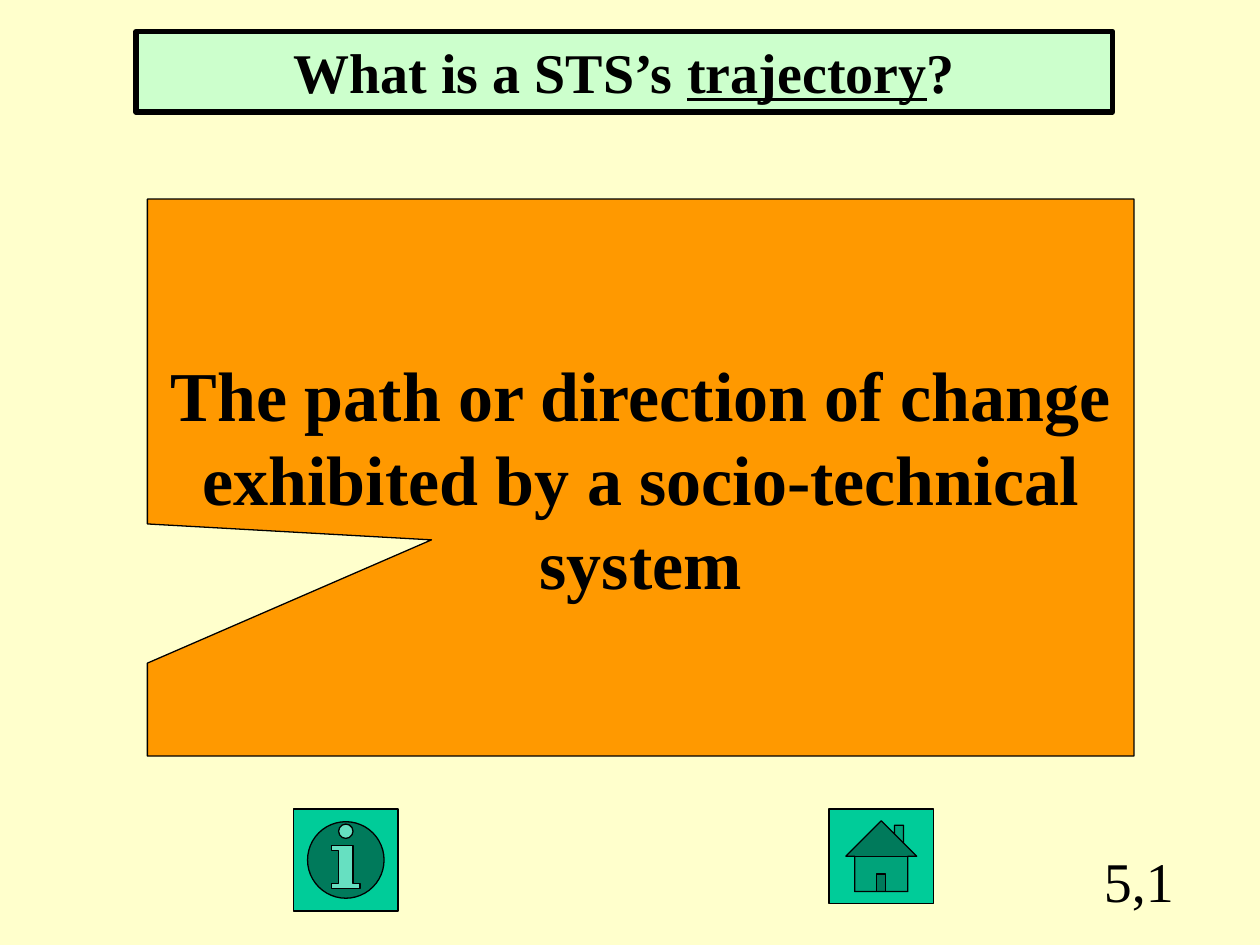
from pptx import Presentation
from pptx.dml.color import RGBColor
from pptx.enum.shapes import MSO_SHAPE as Shape
from pptx.enum.text import MSO_ANCHOR as Anchor, PP_ALIGN as Align
from pptx.util import Inches, Pt

FONT = "Times New Roman"
BLACK = RGBColor(0x00, 0x00, 0x00)
CREAM = RGBColor(0xFF, 0xFF, 0xCC)
MINT = RGBColor(0xCC, 0xFF, 0xCC)
ORANGE = RGBColor(0xFF, 0x99, 0x00)
GREEN = RGBColor(0x00, 0xCC, 0x99)

QUESTION = ["What is a STS’s ", "trajectory", "?"]
ANSWER = [
    "The path or direction of change",
    "exhibited by a socio-technical",
    "system",
]


def add_box(slide, kind, left, top, width, height, fill, line_width=0.75):
    shape = slide.shapes.add_shape(
        kind, Inches(left), Inches(top), Inches(width), Inches(height)
    )
    shape.shadow.inherit = False
    shape.fill.solid()
    shape.fill.fore_color.rgb = fill
    shape.line.color.rgb = BLACK
    shape.line.width = Pt(line_width)
    return shape


def format_text(text_frame, size, bold, anchor=Anchor.TOP, wrap=True):
    text_frame.word_wrap = wrap
    text_frame.vertical_anchor = anchor
    for paragraph in text_frame.paragraphs:
        paragraph.alignment = Align.CENTER
        for run in paragraph.runs:
            run.font.name = FONT
            run.font.size = Pt(size)
            run.font.bold = bold
            run.font.color.rgb = BLACK


def add_question(slide):
    box = add_box(slide, Shape.RECTANGLE, 1.08, 0.25, 7.75, 0.64, MINT, 3)
    paragraph = box.text_frame.paragraphs[0]
    for text in QUESTION:
        run = paragraph.add_run()
        run.text = text
        run.font.underline = text == "trajectory"
    format_text(box.text_frame, 32, True)


def add_answer(slide):
    callout = add_box(
        slide, Shape.RECTANGULAR_CALLOUT, 1.17, 1.58, 7.83, 4.42, ORANGE
    )
    callout.adjustments[0] = -0.212
    callout.adjustments[1] = 0.112
    callout.text_frame.text = "\n".join(ANSWER)
    format_text(callout.text_frame, 40, True, Anchor.MIDDLE, False)


def add_number(slide):
    box = slide.shapes.add_textbox(
        Inches(8.08), Inches(6.67), Inches(1.92), Inches(0.83)
    )
    box.text_frame.text = "5,1"
    format_text(box.text_frame, 32, False)


def main():
    presentation = Presentation()
    presentation.slide_width = Inches(10)
    presentation.slide_height = Inches(7.5)
    slide = presentation.slides.add_slide(presentation.slide_layouts[6])
    slide.background.fill.solid()
    slide.background.fill.fore_color.rgb = CREAM

    add_number(slide)
    add_box(slide, Shape.ACTION_BUTTON_HOME, 6.58, 6.42, 0.83, 0.75, GREEN)
    add_answer(slide)
    add_question(slide)
    add_box(
        slide, Shape.ACTION_BUTTON_INFORMATION, 2.33, 6.42, 0.83, 0.81, GREEN
    )
    presentation.save("out.pptx")


main()
